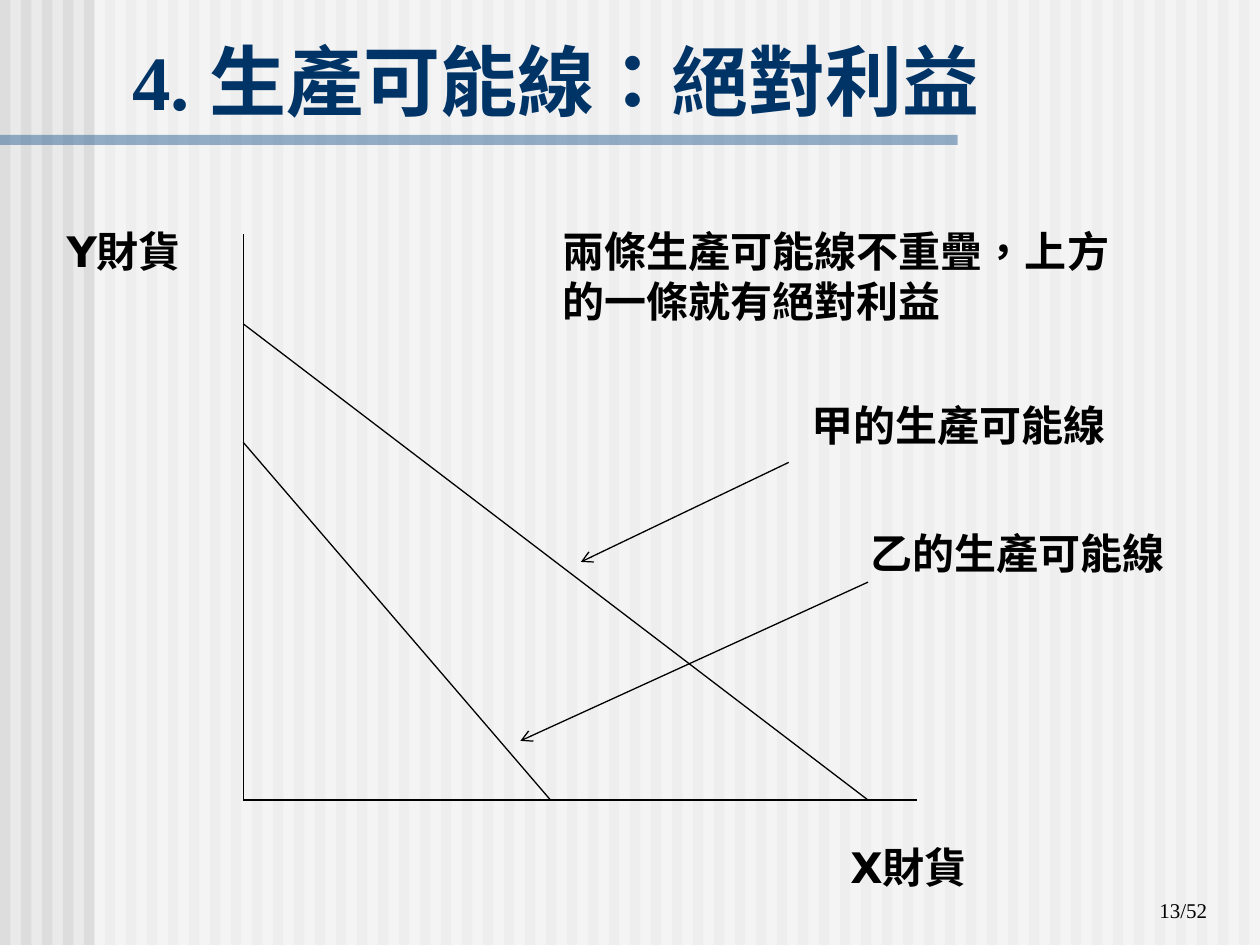
from collections import namedtuple

from lxml.etree import SubElement
from pptx import Presentation
from pptx.dml.color import RGBColor
from pptx.enum.lang import MSO_LANGUAGE_ID as LANG
from pptx.enum.shapes import MSO_CONNECTOR as CONNECTOR, MSO_SHAPE as SHAPE
from pptx.enum.text import MSO_ANCHOR as ANCHOR, PP_ALIGN as ALIGN
from pptx.oxml.ns import qn
from pptx.util import Inches, Pt

# The slide is a grid of 120 columns by 90 rows, twelve to the inch
COLS, ROWS = 120, 90
CELL = Inches(10) / COLS
SERIF, SANS = "Times New Roman", "DejaVu Sans"
LABEL_H = 6

Box = namedtuple("Box", "col row width height")


def cells(count):
    return round(count * CELL)


def color(hex_code):
    return RGBColor.from_string(hex_code)


def inside(region, col, row, width, height):
    return Box(region.col + col, region.row + row, width, height)


def add_bar(slide, box, fill, opacity=100):
    bar = slide.shapes.add_shape(SHAPE.RECTANGLE, *map(cells, box))
    bar.shadow.inherit = False
    bar.line.fill.background()
    bar.fill.solid()
    bar.fill.fore_color.rgb = color(fill)
    if opacity < 100:
        tint = bar.fill._xPr.find(".//" + qn("a:srgbClr"))
        SubElement(tint, qn("a:alpha"), val=str(opacity * 1000))


def add_text(slide, box, text, size=24, face=SANS, fill="000000", bold=True,
             align=ALIGN.LEFT, anchor=ANCHOR.TOP):
    frame = slide.shapes.add_textbox(*map(cells, box)).text_frame
    frame.word_wrap = True
    frame.vertical_anchor = anchor
    paragraph = frame.paragraphs[0]
    paragraph.alignment = align
    run = paragraph.add_run()
    run.text = text
    font = run.font
    font.size, font.name, font.bold = Pt(size), face, bold
    font.color.rgb = color(fill)
    font.language_id = LANG.TRADITIONAL_CHINESE


def add_line(slide, region, start, end, arrow=False):
    ends = [cells(base + shift) for point in (start, end)
            for base, shift in zip((region.col, region.row), point)]
    line = slide.shapes.add_connector(CONNECTOR.STRAIGHT, *ends)
    line.line.color.rgb = color("000000")
    line.line.width = Pt(0.75)
    if arrow:
        SubElement(line.line._get_or_add_ln(), qn("a:tailEnd"), type="arrow")
    SubElement(line._element.spPr, qn("a:effectLst"))


def draw_backdrop(slide, region):
    # Stripes on every second column, veiled right of the left margin
    for col in range(0, region.width, 2):
        add_bar(slide, inside(region, col, 0, 1, region.height), "DDDDDD")
    margin = 9
    veil = inside(region, margin, 0, region.width - margin, region.height)
    add_bar(slide, veil, "FFFFFF", 50)


def draw_header(slide, region):
    rule = inside(region, 0, region.height - 0.96, 91.2, 0.96)
    add_bar(slide, rule, "336699", 50)
    add_text(slide, inside(region, 11.4, 2.52, 107.16, 10.08),
             "4. 生產可能線：絕對利益", 44, SERIF, "003366", anchor=ANCHOR.BOTTOM)


def draw_graph(slide, region):
    origin = (0, region.height)
    # Axes
    add_line(slide, region, (0, 0), origin)
    add_line(slide, region, origin, (region.width, region.height))
    # Production possibility lines: Y intercept, X intercept
    for y_cut, x_cut in ((19.8, 29.28), (8.52, 59.52)):
        add_line(slide, region, (0, y_cut), (x_cut, region.height))
    # Axis names
    for name, col, row in (("Y財貨", -18, -1.44), ("X財貨", 56.64, 57.24)):
        add_text(slide, inside(region, col, row, 16.08, LABEL_H), name)


def draw_notes(slide, region):
    add_text(slide, inside(region, 0, 0, 54.84, 10.92),
             "兩條生產可能線不重疊，上方的一條就有絕對利益")
    # Owner of each line: label corner, arrow start, arrow tip
    owners = (
        ("甲", (23.64, 16.56), (22.68, 23.16), (2.88, 32.64)),
        ("乙", (29.28, 28.8), (30.24, 34.56), (-2.88, 49.68)),
    )
    for owner, corner, start, tip in owners:
        add_line(slide, region, start, tip, arrow=True)
        add_text(slide, inside(region, *corner, 33.12, LABEL_H),
                 f"{owner}的生產可能線")


def draw_page_number(slide, region):
    add_text(slide, region, "13/52", 12, SERIF, bold=False,
             align=ALIGN.RIGHT, anchor=ANCHOR.BOTTOM)


def main():
    deck = Presentation()
    deck.slide_width, deck.slide_height = cells(COLS), cells(ROWS)
    slide = deck.slides.add_slide(deck.slide_layouts[6])
    slide.background.fill.solid()
    slide.background.fill.fore_color.rgb = color("EAEAEA")

    draw_backdrop(slide, Box(0, 0, COLS, ROWS))
    draw_header(slide, Box(0, 0, COLS, 13.8))
    draw_graph(slide, Box(23.16, 22.32, 64.2, 53.88))
    draw_notes(slide, Box(52.44, 20.88, 62.4, 49.68))
    draw_page_number(slide, Box(91.2, 82.44, 24.96, LABEL_H))
    deck.save("out.pptx")


if __name__ == "__main__":
    main()
